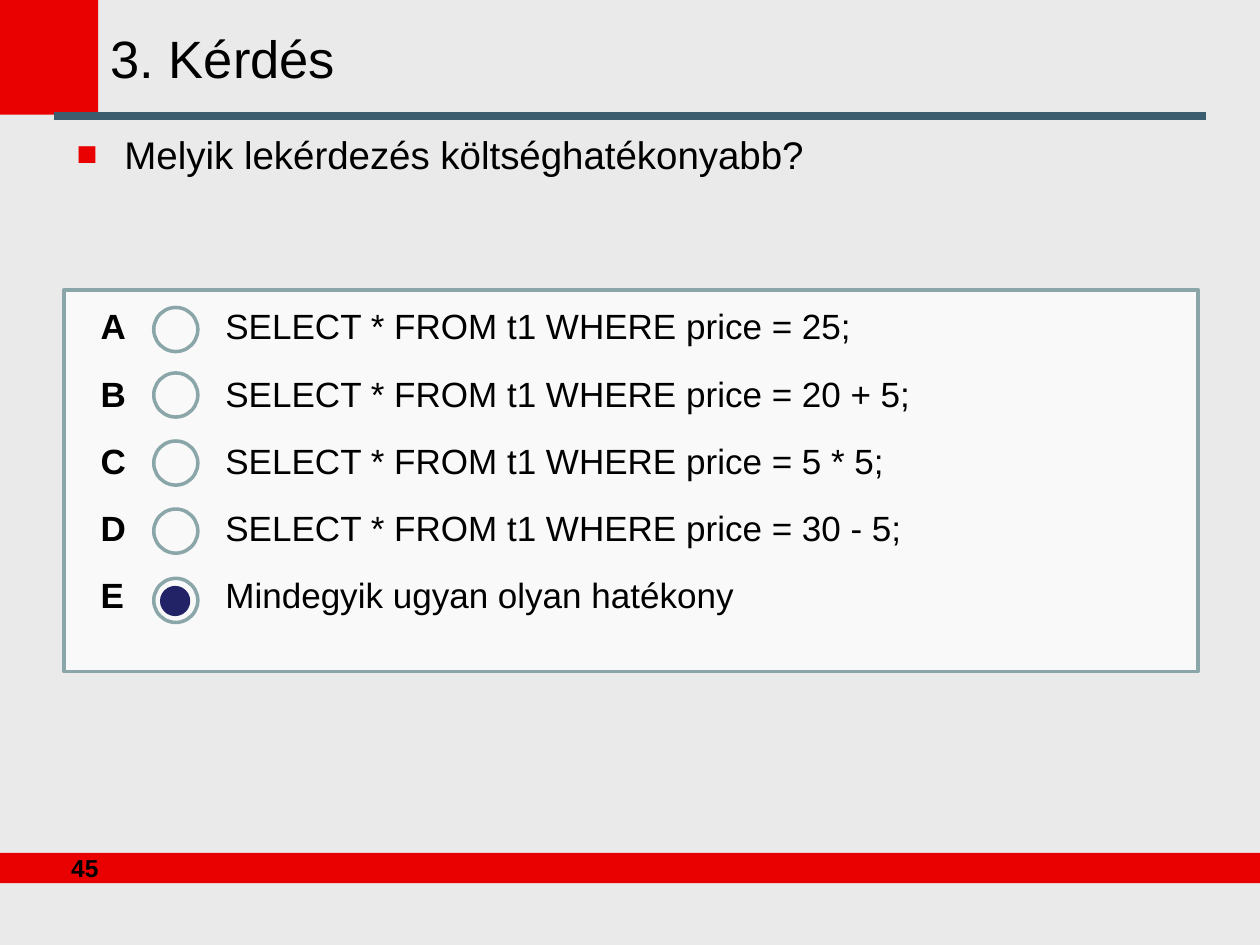
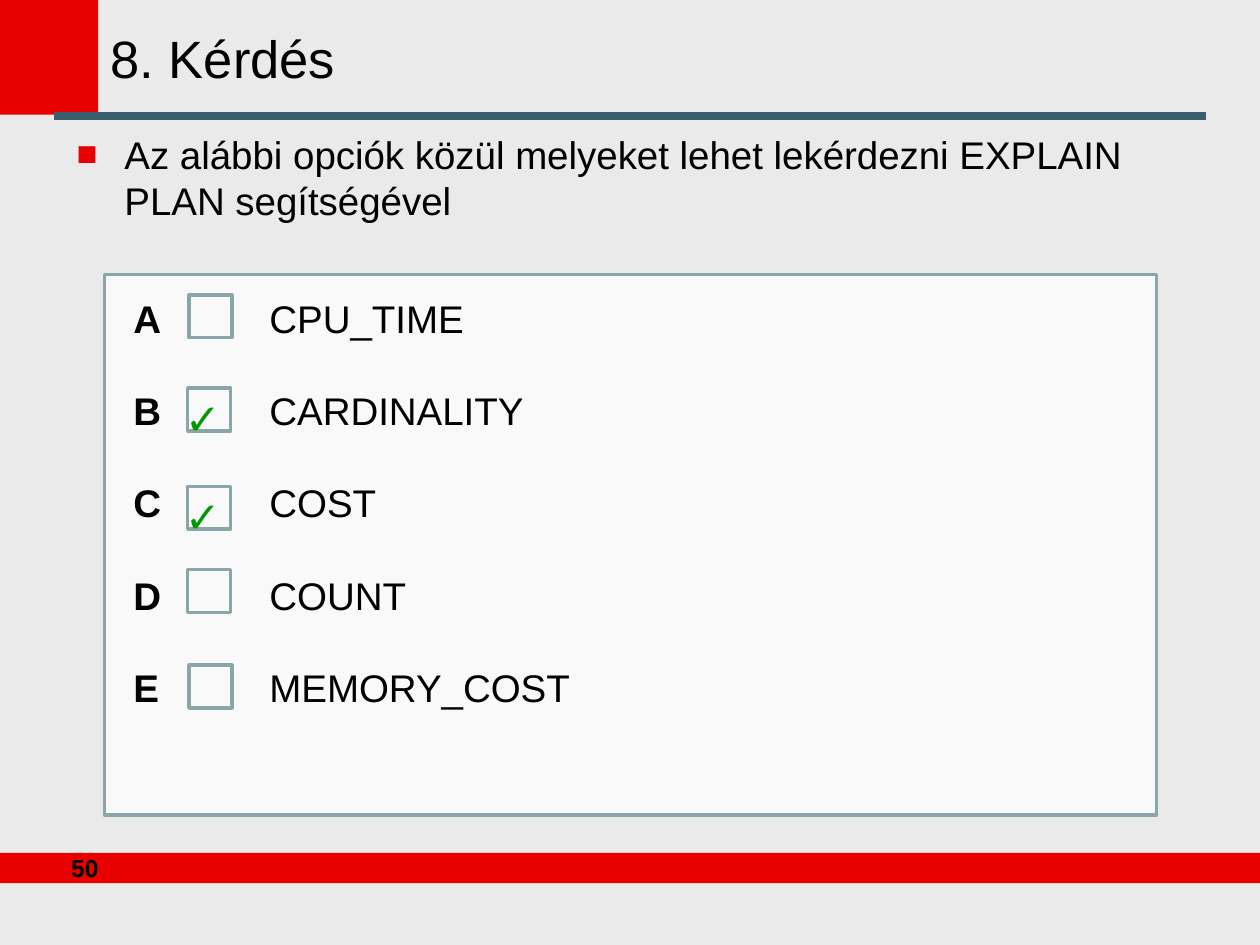
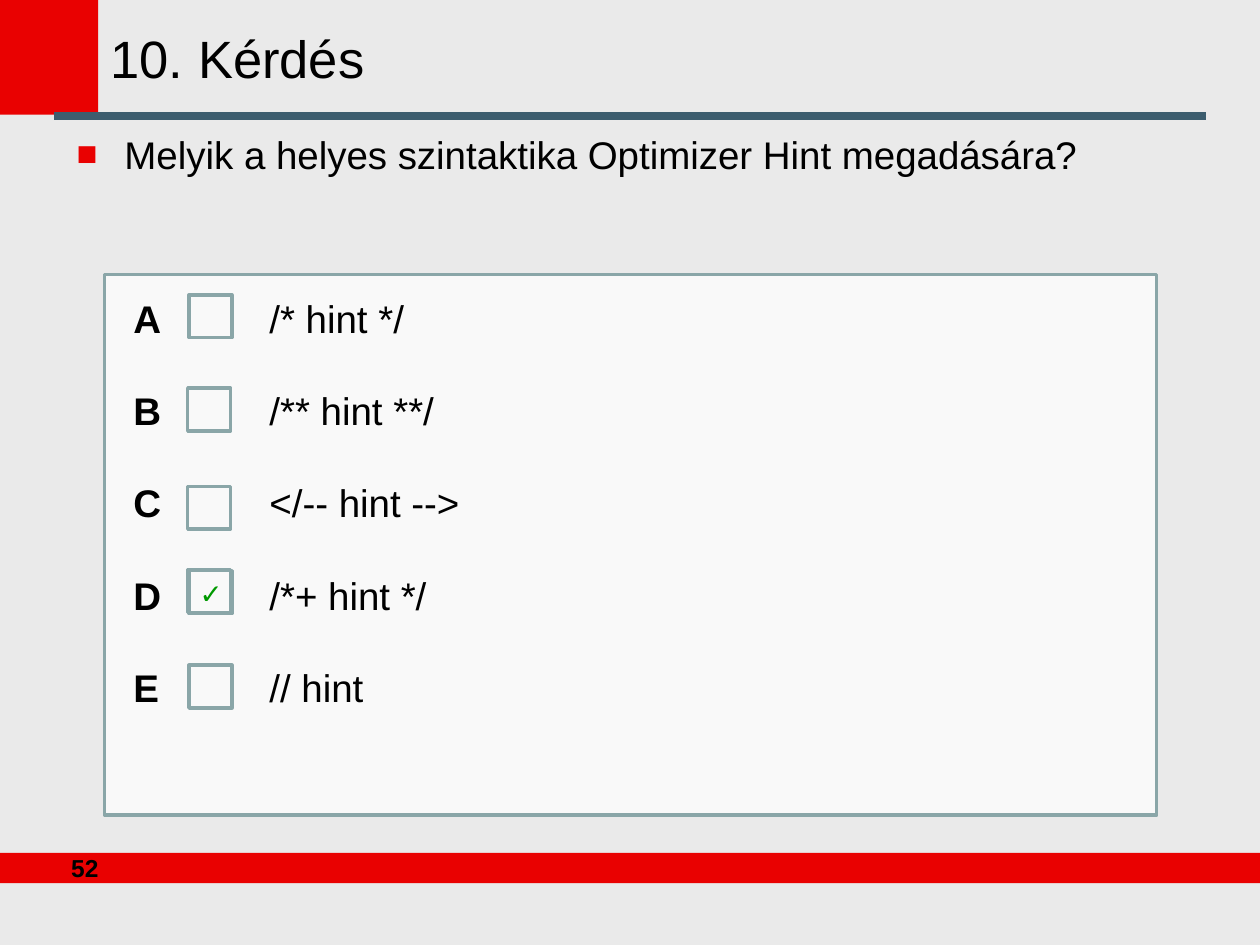
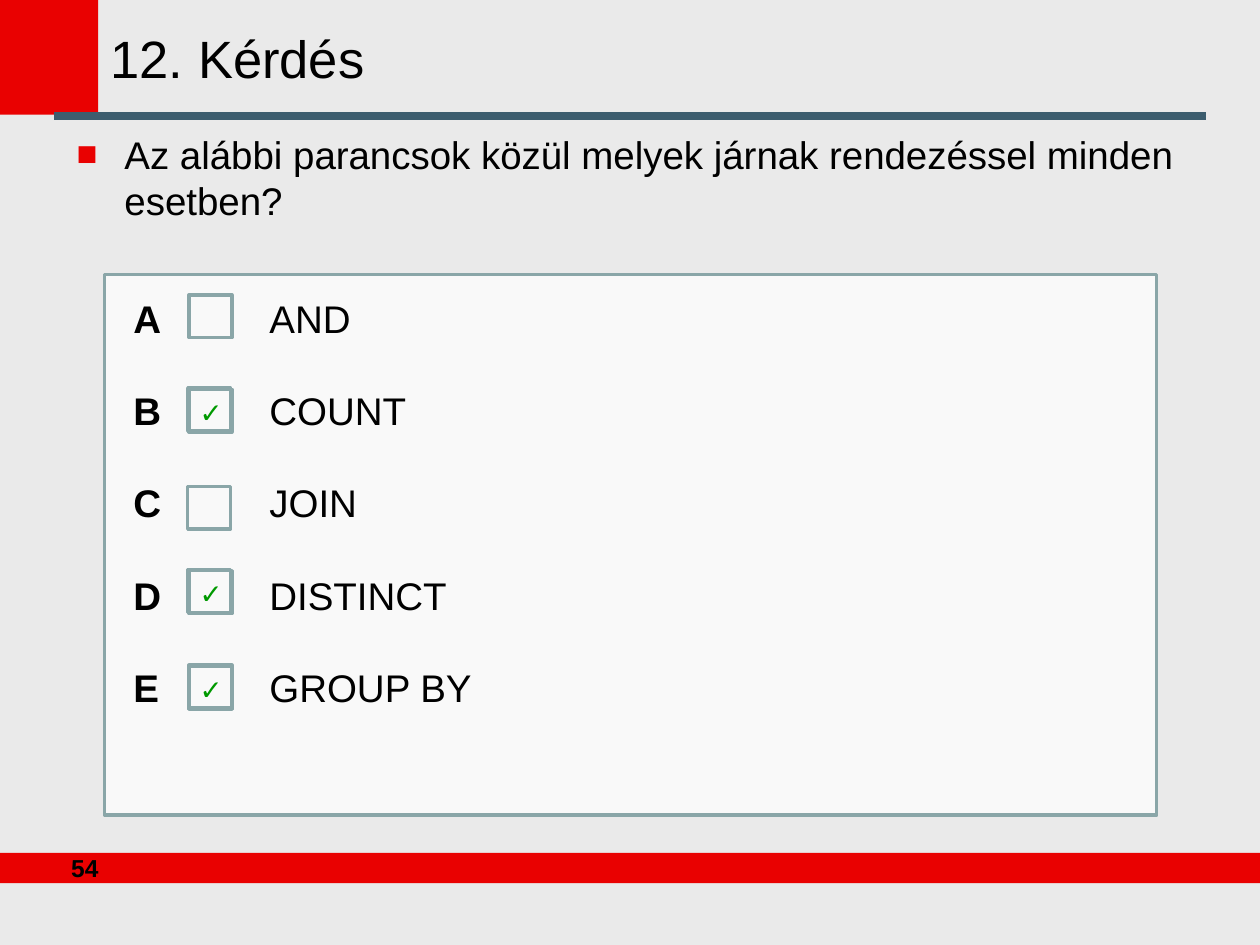
from dataclasses import dataclass
from typing import Optional

import pptx
import pptx.dml.color
import pptx.enum.shapes
import pptx.enum.text
import pptx.oxml
import pptx.oxml.ns
import pptx.oxml.xmlchemy
import pptx.util
from pptx.util import Inches

SHAPE = pptx.enum.shapes.MSO_SHAPE
ALIGN = pptx.enum.text.PP_ALIGN
ANCHOR = pptx.enum.text.MSO_ANCHOR


@dataclass(frozen=True)
class Theme:
    background: str = "EAEAEA"
    accent: str = "E90101"
    rule: str = "3C5D6E"
    panel: str = "F9F9F9"
    outline: str = "8AA6A8"
    dot: str = "222267"
    tick: str = "009900"
    text: str = "000000"
    font: str = "Arial"
    tick_font: str = "DejaVu Sans Mono"
    title_size: int = 30
    question_size: int = 22
    page_size: int = 14
    large_tick_size: int = 28
    small_tick_size: int = 18
    outline_width: int = 2
    rule_width: int = 5
    leading: float = 1.2


THEME = Theme()


@dataclass(frozen=True)
class Box:
    """A rectangle in inches."""
    left: float
    top: float
    width: float
    height: float

    def lengths(self) -> tuple:
        return tuple(Inches(v) for v in (self.left, self.top, self.width, self.height))


@dataclass(frozen=True)
class AnswerStyle:
    panel: Box
    letters: Box
    answers: Box
    size: int
    gap: float
    marker: int
    markers: tuple[Box, ...]


def markers(size: float, *corners: tuple[float, float]) -> tuple[Box, ...]:
    return tuple(Box(left, top, size, size) for left, top in corners)


SINGLE_CHOICE = AnswerStyle(
    panel=Box(0.51, 2.3, 9, 3.03), letters=Box(0.7, 2.37, 0.39, 2.59),
    answers=Box(1.69, 2.37, 7.72, 2.59), size=20, gap=14.4, marker=SHAPE.OVAL,
    markers=markers(0.35, (1.22, 2.44), (1.22, 2.96), (1.22, 3.5),
                    (1.22, 4.04), (1.22, 4.59)))
MULTIPLE_CHOICE = AnswerStyle(
    panel=Box(0.83, 2.18, 8.35, 4.29), letters=Box(0.96, 2.29, 0.39, 4.17),
    answers=Box(2.04, 2.29, 4.55, 3.8), size=22, gap=26.4, marker=SHAPE.RECTANGLE,
    markers=markers(0.34, (1.5, 2.34), (1.49, 3.08), (1.49, 3.86),
                    (1.49, 4.52), (1.5, 5.28)))


@dataclass(frozen=True)
class Question:
    number: int
    page: int
    wording: str
    answers: tuple[str, ...]
    correct: str
    style: AnswerStyle = MULTIPLE_CHOICE
    large_ticks: bool = False


QUESTIONS = (
    Question(3, 45, "Melyik lekérdezés költséghatékonyabb?",
             ("SELECT * FROM t1 WHERE price = 25;",
              "SELECT * FROM t1 WHERE price = 20 + 5;",
              "SELECT * FROM t1 WHERE price = 5 * 5;",
              "SELECT * FROM t1 WHERE price = 30 - 5;",
              "Mindegyik ugyan olyan hatékony"), "E", SINGLE_CHOICE),
    Question(8, 50, "Az alábbi opciók közül melyeket lehet lekérdezni "
             "EXPLAIN PLAN segítségével",
             ("CPU_TIME", "CARDINALITY", "COST", "COUNT", "MEMORY_COST"),
             "BC", large_ticks=True),
    Question(10, 52, "Melyik a helyes szintaktika Optimizer Hint megadására?",
             ("/* hint */", "/** hint **/", "</-- hint -->", "/*+ hint */", "// hint"),
             "D"),
    Question(12, 54, "Az alábbi parancsok közül melyek járnak rendezéssel "
             "minden esetben?",
             ("AND", "COUNT", "JOIN", "DISTINCT", "GROUP BY"), "BDE"),
)


def color(value: str) -> pptx.dml.color.RGBColor:
    return pptx.dml.color.RGBColor.from_string(value)


def add_figure(slide, kind: int, box: Box, fill: Optional[str] = None,
               outline: Optional[str] = None):
    figure = slide.shapes.add_shape(kind, *box.lengths())
    figure.shadow.inherit = False
    if fill:
        figure.fill.solid()
        figure.fill.fore_color.rgb = color(fill)
    else:
        figure.fill.background()
    if outline:
        figure.line.color.rgb = color(outline)
        figure.line.width = pptx.util.Pt(THEME.outline_width)
    else:
        figure.line.fill.background()
    return figure


def write(frame, lines: tuple[str, ...], size: int, gap: float = 0,
          font: str = THEME.font, ink: str = THEME.text, bold: bool = False,
          align: int = ALIGN.LEFT, leading: Optional[float] = None) -> None:
    """Fill a text frame, one paragraph a line, with gap points between them."""
    character_format = {"size": pptx.util.Pt(size), "name": font, "bold": bold}
    paragraph_format = {"alignment": align, "space_after": pptx.util.Pt(gap)}
    if leading:
        paragraph_format["line_spacing"] = pptx.util.Pt(size * leading)
    for index, line in enumerate(lines):
        paragraph = frame.paragraphs[0] if index == 0 else frame.add_paragraph()
        for name, value in paragraph_format.items():
            setattr(paragraph, name, value)
        run = paragraph.add_run()
        run.text = line
        for name, value in character_format.items():
            setattr(run.font, name, value)
        run.font.color.rgb = color(ink)


def add_text(slide, box: Box, lines: tuple[str, ...], size: int,
             anchor: int = ANCHOR.TOP, **text_format):
    frame = slide.shapes.add_textbox(*box.lengths()).text_frame
    frame.word_wrap = True
    frame.vertical_anchor = anchor
    write(frame, lines, size, **text_format)
    return frame


def add_square_bullet(paragraph) -> None:
    properties = paragraph._p.get_or_add_pPr()
    indent = Inches(0.38)
    properties.set("marL", str(indent))
    properties.set("indent", str(-indent))
    namespace = pptx.oxml.ns.nsdecls("a")
    for element in (f'<a:buClr {namespace}><a:srgbClr val="{THEME.accent}"/></a:buClr>',
                    f'<a:buSzPct {namespace} val="90000"/>',
                    f'<a:buFont {namespace} typeface="{THEME.font}"/>',
                    f'<a:buChar {namespace} char="■"/>'):
        properties.append(pptx.oxml.parse_xml(element))


def add_frame(slide, page: int) -> None:
    """Draw the corner block, footer band, page number and title rule."""
    for box in (Box(0, -0.01, 0.78, 0.92), Box(0, 6.77, 10.04, 0.24)):
        add_figure(slide, SHAPE.RECTANGLE, box, THEME.accent)
    add_text(slide, Box(-0.02, 6.72, 0.9, 0.34), (str(page),), THEME.page_size,
             bold=True, align=ALIGN.RIGHT, leading=THEME.leading)
    rule = slide.shapes.add_connector(
        pptx.enum.shapes.MSO_CONNECTOR.STRAIGHT,
        Inches(0.43), Inches(0.92), Inches(9.57), Inches(0.92))
    rule.line.color.rgb = color(THEME.rule)
    rule.line.width = pptx.util.Pt(THEME.rule_width)
    rule._element.spPr.append(
        pptx.oxml.parse_xml(f'<a:effectLst {pptx.oxml.ns.nsdecls("a")}/>'))


def add_mark(slide, question: Question, marker: Box) -> None:
    """Mark a correct answer with a dot, a large tick or a ticked box."""
    tick_format = {"font": THEME.tick_font, "ink": THEME.tick, "bold": True}
    if question.style is SINGLE_CHOICE:
        dot = Box(marker.left + 0.05, marker.top + 0.06, 0.24, 0.24)
        add_figure(slide, SHAPE.OVAL, dot, THEME.dot)
    elif question.large_ticks:
        tick = Box(marker.left - 0.1, marker.top - 0.06, 0.55, 0.57)
        add_text(slide, tick, ("✓",), THEME.large_tick_size, **tick_format)
    else:
        ticked = Box(1.5, marker.top + 0.01, marker.width, marker.height)
        frame = add_figure(slide, question.style.marker, ticked,
                           outline=THEME.outline).text_frame
        frame.vertical_anchor = ANCHOR.MIDDLE
        write(frame, ("✓",), THEME.small_tick_size, **tick_format)


def add_answers(slide, question: Question) -> None:
    style = question.style
    letters = tuple("ABCDE")
    add_figure(slide, SHAPE.RECTANGLE, style.panel, THEME.panel, THEME.outline)
    add_text(slide, style.answers, question.answers, style.size, gap=style.gap,
             leading=THEME.leading)
    add_text(slide, style.letters, letters, style.size, gap=style.gap, bold=True,
             leading=THEME.leading)
    for letter, marker in zip(letters, style.markers):
        add_figure(slide, style.marker, marker, outline=THEME.outline)
        if letter in question.correct:
            add_mark(slide, question, marker)


def add_question(presentation, question: Question) -> None:
    slide = presentation.slides.add_slide(presentation.slide_layouts[6])
    slide.background.fill.solid()
    slide.background.fill.fore_color.rgb = color(THEME.background)
    add_frame(slide, question.page)
    add_text(slide, Box(0.78, 0.18, 8.73, 0.55), (f"{question.number}. Kérdés",),
             THEME.title_size, anchor=ANCHOR.MIDDLE, leading=THEME.leading)
    wording = add_text(slide, Box(0.51, 0.99, 9, 5.77), (question.wording,),
                       THEME.question_size, leading=THEME.leading)
    add_square_bullet(wording.paragraphs[0])
    add_answers(slide, question)


def main() -> None:
    presentation = pptx.Presentation()
    presentation.slide_width = Inches(10)
    presentation.slide_height = Inches(7.5)
    for question in QUESTIONS:
        add_question(presentation, question)
    presentation.save("out.pptx")


if __name__ == "__main__":
    main()
